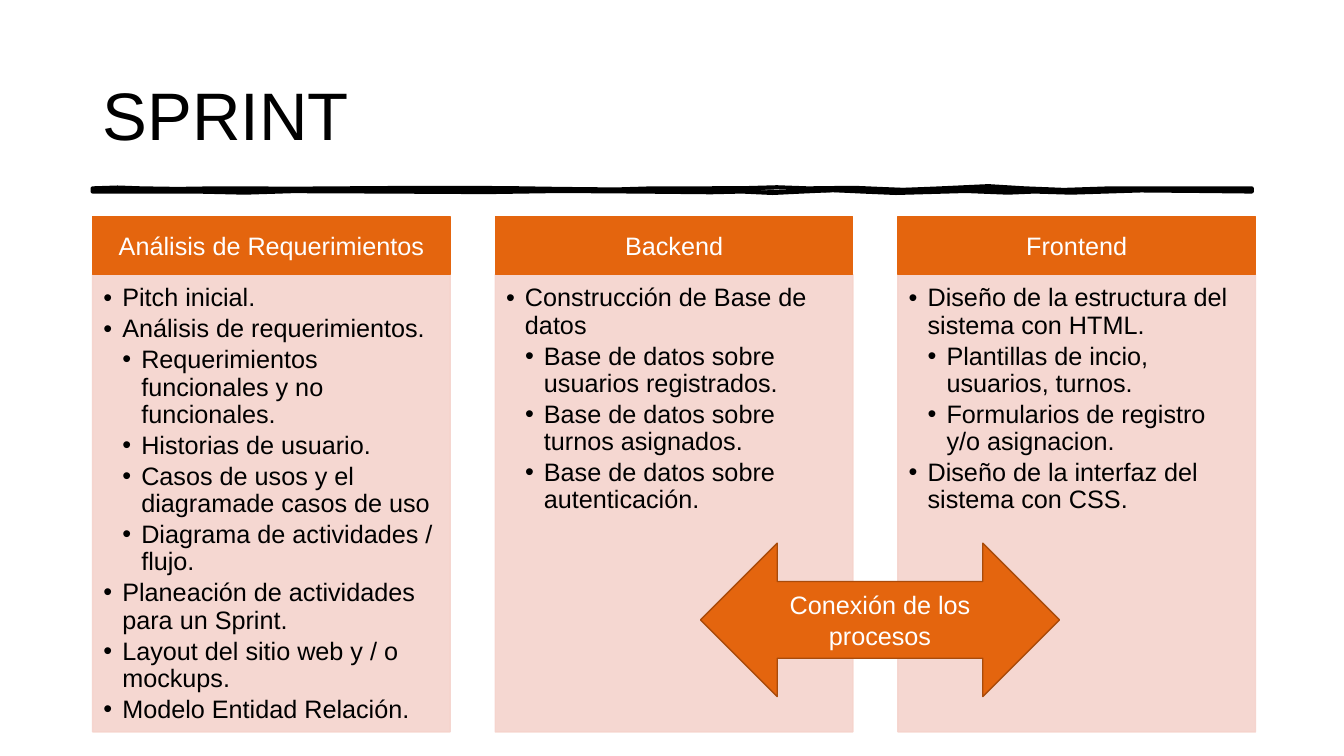
from lxml import etree
from pptx import Presentation
from pptx.dml.color import RGBColor
from pptx.enum.shapes import MSO_SHAPE
from pptx.enum.text import MSO_ANCHOR, MSO_AUTO_SIZE, PP_ALIGN
from pptx.oxml.ns import qn
from pptx.util import Pt

RECT, ARROW = MSO_SHAPE.RECTANGLE, MSO_SHAPE.LEFT_RIGHT_ARROW
TOP, MIDDLE = MSO_ANCHOR.TOP, MSO_ANCHOR.MIDDLE
LEFT, CENTER = PP_ALIGN.LEFT, PP_ALIGN.CENTER
NO_FIT = MSO_AUTO_SIZE.NONE

FONT = "Arial"
BLACK, WHITE = "000000", "FFFFFF"
ORANGE, RUST, PINK = "E4650E", "A94B0A", "F5D3CC"

# Column grid
EDGE, STEP, WIDTH = 66.2, 287.6, 255.4
HEAD_TOP, HEAD_H, LIST_H = 154.8, 41.2, 326.8
INDENT = 13.5

# Heading, then (level, text) items
COLUMNS = [
    ("Análisis de Requerimientos", [
        (1, "Pitch inicial."),
        (1, "Análisis de requerimientos."),
        (2, "Requerimientos funcionales y no funcionales."),
        (2, "Historias de usuario."),
        (2, "Casos de usos y el diagramade casos de uso"),
        (2, "Diagrama de actividades / flujo."),
        (1, "Planeación de actividades para un Sprint."),
        (1, "Layout del sitio web y / o mockups."),
        (1, "Modelo Entidad Relación."),
    ]),
    ("Backend", [
        (1, "Construcción de Base de datos"),
        (2, "Base de datos sobre usuarios registrados."),
        (2, "Base de datos sobre turnos asignados."),
        (2, "Base de datos sobre autenticación."),
    ]),
    ("Frontend", [
        (1, "Diseño de la estructura del sistema con HTML."),
        (2, "Plantillas de incio, usuarios, turnos."),
        (2, "Formularios de registro y/o asignacion."),
        (1, "Diseño de la interfaz del sistema con CSS."),
    ]),
]

# Rough rule: clockwise outlines of the pen stroke and of its core
STROKE = [
    (66.2, 134.6), (84, 134), (101, 134.6), (127, 135), (153, 134.6),
    (213, 134.8), (302, 134.2), (361, 134.4), (400, 135), (440, 135.4),
    (466, 134.6), (500, 134.6), (534, 134.4), (555, 133.8), (577, 134.6),
    (610, 134.2), (645, 135.7), (672, 134.6), (706, 133), (732, 134.6),
    (760, 135.7), (793, 134.6), (894.2, 134.6),
    (894.2, 136.8), (859, 136.4), (815, 136), (790, 136.8), (765, 137.6),
    (739, 136.8), (720, 137.6), (690, 136.4), (640, 137.8), (616, 136.8),
    (595, 135.8), (573, 136.8), (552, 137.8), (530, 136.8), (508, 137.3),
    (456, 136.8), (400, 136.4), (348, 137.2), (274, 136.8), (209, 136.5),
    (175, 137.6), (140, 136.8), (66.2, 136.8),
]
CORE = [
    (66.2, 134.6), (88, 135.5), (109, 134.6), (170, 134.4), (280, 134),
    (330, 135), (430, 134.8), (500, 133.8), (558, 135.8), (618, 134.2),
    (717, 134), (769, 135.6), (820, 133.6), (894.2, 134.6),
    (894.2, 136.8), (834, 136.8), (772, 137.4), (703, 138), (652, 136.4),
    (590, 137.4), (538, 136), (485, 136), (394, 137.2), (269, 137.2),
    (182, 137.2), (66.2, 136.8),
]


def color(code):
    return RGBColor.from_string(code)


def place(shape, left, top, width, height):
    shape.left, shape.top = Pt(left), Pt(top)
    shape.width, shape.height = Pt(width), Pt(height)


def paint(shape, fill, line=None, width=1):
    if fill:
        shape.fill.solid()
        shape.fill.fore_color.rgb = color(fill)
    else:
        shape.fill.background()
    if line:
        shape.line.color.rgb = color(line)
        shape.line.width = Pt(width)
    else:
        shape.line.fill.background()


def fade(shape, percent):
    for code in shape.element.spPr.iter(qn("a:srgbClr")):
        etree.SubElement(code, qn("a:alpha"), val=str(percent * 1000))


def frame(shape, anchor, pads):
    box = shape.text_frame
    box.word_wrap = True
    box.auto_size = NO_FIT
    box.vertical_anchor = anchor
    (box.margin_left, box.margin_top,
     box.margin_right, box.margin_bottom) = map(Pt, pads)
    return box


def write(para, text, size, ink, align):
    para.alignment = align
    run = para.add_run()
    run.text = text
    font = run.font
    font.name, font.size, font.bold = FONT, Pt(size), False
    font.color.rgb = color(ink)


def bullet(para, level):
    para.level = level - 1
    para.line_spacing = 0.9
    para.space_before, para.space_after = Pt(0), Pt(2.7)
    props = para._p.get_or_add_pPr()
    props.set("marL", str(Pt(INDENT * level)))
    props.set("indent", str(Pt(-INDENT)))
    etree.SubElement(props, qn("a:buFont"), typeface=FONT)
    etree.SubElement(props, qn("a:buChar"), char="•")


def label(slide, kind, area, text, line, pads):
    shape = slide.shapes.add_shape(kind, *map(Pt, area))
    shape.shadow.inherit = False
    paint(shape, ORANGE, line)
    box = frame(shape, MIDDLE, pads)
    write(box.paragraphs[0], text, 18, WHITE, CENTER)


def listing(shape, area, items):
    place(shape, *area)
    paint(shape, PINK, PINK)
    fade(shape, 90)
    box = frame(shape, TOP, (7.7, 7.7, 10.2, 11.5))
    for i, (level, text) in enumerate(items):
        para = box.add_paragraph() if i else box.paragraphs[0]
        bullet(para, level)
        write(para, text, 18, BLACK, LEFT)


def sketch(slide, points, fill, line):
    dots = [(Pt(x), Pt(y)) for x, y in points]
    pen = slide.shapes.build_freeform(*dots[0])
    pen.add_line_segments(dots[1:], close=True)
    shape = pen.convert_to_shape()
    shape.shadow.inherit = False
    paint(shape, fill, line, 3)


def main():
    deck = Presentation()
    deck.slide_width, deck.slide_height = Pt(960), Pt(540)
    slide = deck.slides.add_slide(deck.slide_layouts[4])
    title, *bodies = slide.placeholders

    # Title and rule
    place(title, EDGE, 28.8, 828, 104.4)
    box = frame(title, MIDDLE, (7.2, 3.6, 7.2, 3.6))
    write(box.paragraphs[0], "SPRINT", 48, BLACK, LEFT)
    sketch(slide, STROKE, None, BLACK)
    sketch(slide, CORE, BLACK, None)

    # Columns
    for i, (head, items) in enumerate(COLUMNS):
        left = EDGE + i * STEP
        label(slide, RECT, (left, HEAD_TOP, WIDTH, HEAD_H), head, ORANGE,
              (10.2, 5.8, 10.2, 5.8))
        listing(bodies[i], (left, HEAD_TOP + HEAD_H, WIDTH, LIST_H), items)

    # Unused placeholders
    for spare in bodies[len(COLUMNS):]:
        spare.element.getparent().remove(spare.element)

    # Link between backend and frontend
    label(slide, ARROW, (500.4, 388, 256.4, 109.6),
          "Conexión de los procesos", RUST, (7.2, 3.6, 7.2, 3.6))
    deck.save("out.pptx")


if __name__ == "__main__":
    main()
